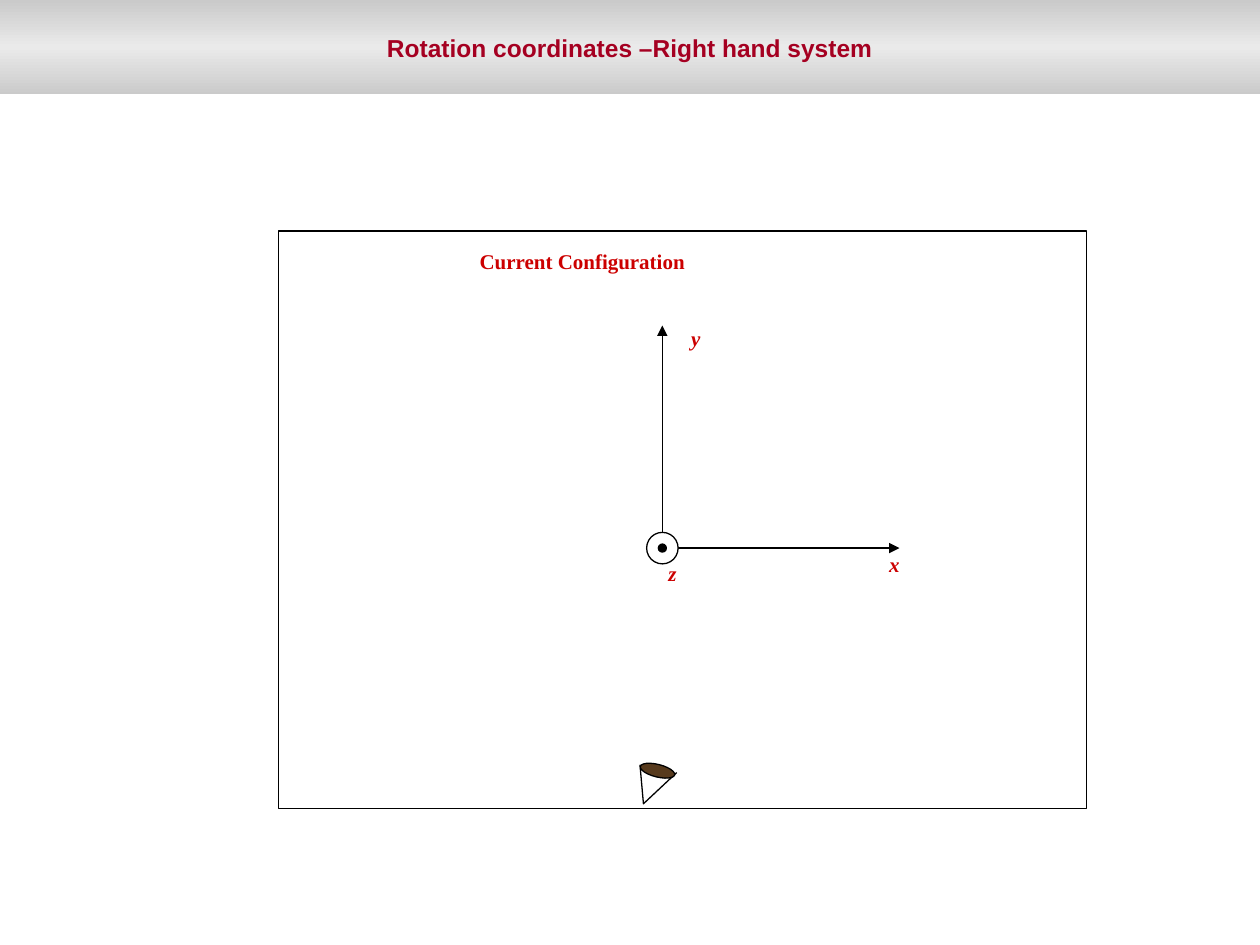
from copy import deepcopy

from pptx import Presentation
from pptx.dml.color import RGBColor
from pptx.enum.shapes import MSO_SHAPE as Kind
from pptx.enum.text import MSO_ANCHOR as Anchor, MSO_AUTO_SIZE as Fit, PP_ALIGN as Align
from pptx.oxml.ns import qn
from pptx.util import Pt
from lxml import etree

RED = "CC0000"
BLACK = "000000"
WHITE = "FFFFFF"


def color(code):
    return RGBColor.from_string(code)


def write(frame, text, size=12, font="Times New Roman", code=RED,
          italic=False, align=Align.LEFT, anchor=Anchor.TOP):
    frame.word_wrap = True
    frame.vertical_anchor = anchor
    frame.margin_left = frame.margin_right = Pt(7.2)
    frame.margin_top = frame.margin_bottom = Pt(3.6)
    par = frame.paragraphs[0]
    par.alignment = align
    run = par.add_run()
    run.text = text
    face = run.font
    face.name, face.size, face.bold, face.italic = font, Pt(size), True, italic
    face.color.rgb = color(code)


def label(shapes, text, x, y, width=24, **style):
    box = shapes.add_textbox(Pt(x), Pt(y), Pt(width), Pt(21.6))
    write(box.text_frame, text, **style)
    box.text_frame.auto_size = Fit.SHAPE_TO_FIT_TEXT


def paint(shape, fill=None):
    shape.shadow.inherit = False
    if fill:
        shape.fill.solid()
        shape.fill.fore_color.rgb = color(fill)
    else:
        shape.fill.background()
    shape.line.color.rgb = color(BLACK)
    shape.line.width = Pt(0.75)
    return shape


def solid(shapes, kind, x, y, width, height, fill=None):
    return paint(shapes.add_shape(kind, Pt(x), Pt(y), Pt(width), Pt(height)), fill)


def disc(shapes, x, y, width, height, fill):
    """Place an ellipse around its centre."""
    return solid(shapes, Kind.OVAL, x - width / 2, y - height / 2, width, height, fill)


def path(shapes, points, fill=None):
    start, *rest = [(Pt(x), Pt(y)) for x, y in points]
    pen = shapes.build_freeform(*start)
    pen.add_line_segments(rest, close=False)
    return paint(pen.convert_to_shape(), fill)


def banner(title, x, y, width, height):
    title.left, title.top, title.width, title.height = map(Pt, (x, y, width, height))
    # Grey band, lighter in the middle
    title.fill.gradient()
    title.fill.gradient_angle = 90
    stops = title._element.spPr.find(".//" + qn("a:gsLst"))
    stops.append(deepcopy(stops[-1]))
    tones = ((0, "CACACA"), (0.5, "EAEAEA"), (1, "CACACA"))
    for stop, (place, code) in zip(title.fill.gradient_stops, tones):
        stop.position = place
        stop.color.rgb = color(code)
    write(title.text_frame, "Rotation coordinates –Right hand system", size=14,
          font="Arial", code="A50021", align=Align.CENTER, anchor=Anchor.MIDDLE)


def axes(shapes, x, y, width, height):
    base = y + height
    label(shapes, "y", x + 9.4, y - 3.6, italic=True)
    label(shapes, "x", x + width - 13, base - 1.4, italic=True)
    # Both axes are one bent line with two arrowheads
    bend = path(shapes, [(x, y), (x, base), (x + width, base)])
    line = bend.line._get_or_add_ln()
    for end in ("a:headEnd", "a:tailEnd"):
        etree.SubElement(line, qn(end), type="triangle")
    # The z axis points out of the page
    disc(shapes, x, base, 18, 18, WHITE)
    disc(shapes, x, base, 4.6, 4.6, BLACK)
    label(shapes, "z", x - 3.6, base + 3.6, italic=True)


def eye(shapes, x, y, width, height):
    path(shapes, [(x + width, y + 4.5), (x + 2, y + height), (x, y)], WHITE)
    lens = disc(shapes, x + 10, y + 3.4, 7.2, 20.2, "573A1D")
    lens.rotation = 103.9


def diagram(shapes, x, y, width, height):
    axes(shapes.add_group_shape().shapes, x + 219.5, y + 54, 135.5, 127.2)
    eye(shapes.add_group_shape().shapes, x + 206.7, y + 305, 21, 22.3)
    label(shapes, "Current Configuration", x + 108, y + 6.5, 210)
    # Frame
    solid(shapes, Kind.RECTANGLE, x, y, width, height)


def main():
    deck = Presentation()
    deck.slide_width, deck.slide_height = Pt(720), Pt(540)
    slide = deck.slides.add_slide(deck.slide_layouts[5])
    banner(slide.shapes.title, 0, 0, 720, 54)
    diagram(slide.shapes, 159, 132, 462, 330)
    deck.save("out.pptx")


if __name__ == "__main__":
    main()
